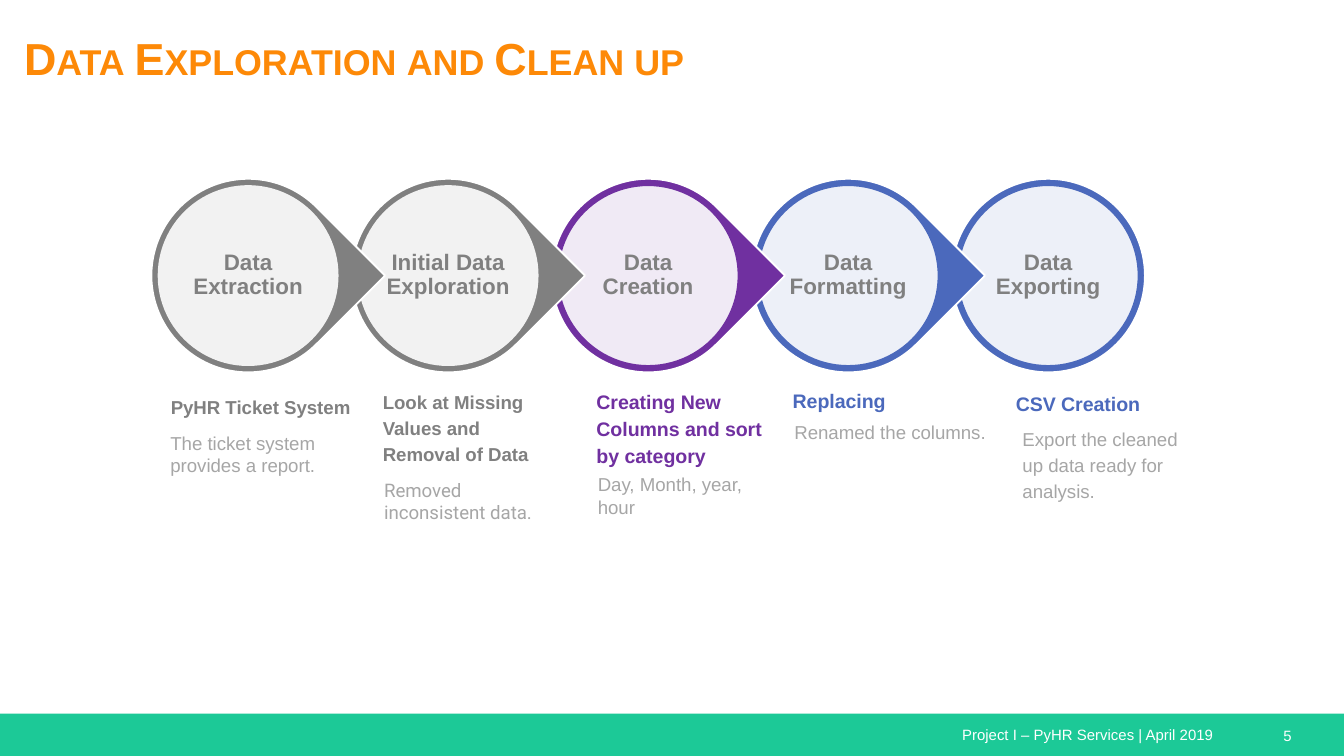
from lxml import etree
from pptx import Presentation
from pptx.dml.color import RGBColor
from pptx.enum.shapes import MSO_SHAPE
from pptx.enum.text import MSO_ANCHOR, PP_ALIGN
from pptx.oxml.ns import qn
from pptx.util import Pt

RECT, OVAL, TEAR = MSO_SHAPE.RECTANGLE, MSO_SHAPE.OVAL, MSO_SHAPE.TEAR
TOP, MID, LOW = MSO_ANCHOR.TOP, MSO_ANCHOR.MIDDLE, MSO_ANCHOR.BOTTOM
LEFT, MIDDLE = PP_ALIGN.LEFT, PP_ALIGN.CENTER

COLORS = {
    "white": "FFFFFF", "green": "1CC997", "orange": "FD8907", "gray": "808080",
    "pale": "A6A6A6", "purple": "7030A0", "blue": "4B69BC",
}

TITLE = "Data Exploration and Clean up"
FOOTER = "Project I – PyHR Services | April 2019"
PAGE = "5"

STEPS = [
    ("Data Extraction", "gray", False),
    ("Initial Data Exploration", "gray", False),
    ("Data Creation", "purple", True),
    ("Data Formatting", "blue", True),
    ("Data Exporting", "blue", True),
]

HEADS = [
    ("PyHR Ticket System", (84.4, 203.8, 118, 27.4), "gray", 10),
    ("Look at Missing Values and Removal of Data",
     (198, 213.8, 105.1, 42.5), "gray", 10),
    ("Creating New Columns and sort by category",
     (312.5, 215.3, 105.1, 42.5), "purple", 10.5),
    ("Replacing", (417.6, 201.6, 105.1, 26.6), "blue", 10.5),
    ("CSV Creation", (537.1, 205.9, 105.1, 23.8), "blue", 10.5),
]

NOTES = [
    ("The ticket system provides a report.",
     (84.2, 223.9, 105.1, 42.5), "Arial", 1),
    ("Removed inconsistent data.", (198.7, 249.1, 108, 42.5), "Roboto", 1),
    ("Day, Month, year, hour", (313.2, 246.2, 100, 26), "Arial", 1),
    ("Renamed the columns.", (418.5, 219.6, 122.4, 23.8), "Arial", 1),
    ("Export the cleaned up data ready for analysis.",
     (540.7, 220.3, 110.2, 36), "Arial", 1.15),
]

START, ROW, STEP, SIZE = 81.1, 95.8, 107.15, 103.7
RING, INSET = 3.4, 17.3

deck = Presentation()
deck.slide_width, deck.slide_height = Pt(720), Pt(405)
slide = deck.slides.add_slide(deck.slide_layouts[6])


def tint(name):
    return RGBColor.from_string(COLORS[name])


def write(text, box, color="gray", size=10, font="Arial", bold=False,
          align=LEFT, anchor=TOP, space=1, pad=(7.2, 7.2), caps=False):
    frame = slide.shapes.add_textbox(*map(Pt, box)).text_frame
    frame.word_wrap = True
    frame.vertical_anchor = anchor
    frame.margin_left = frame.margin_right = Pt(pad[0])
    frame.margin_top = frame.margin_bottom = Pt(pad[1])
    para = frame.paragraphs[0]
    para.alignment = align
    if space != 1:
        para.line_spacing = space
    run = para.add_run()
    run.text = text
    run.font.name, run.font.size, run.font.bold = font, Pt(size), bold
    run.font.color.rgb = tint(color)
    if caps:
        run.font._element.set("cap", "small")


def draw(kind, box, fill, line=None, alpha=None):
    shape = slide.shapes.add_shape(kind, *map(Pt, box))
    shape.shadow.inherit = False
    shape.fill.solid()
    shape.fill.fore_color.rgb = tint(fill)
    if line:
        shape.line.color.rgb = tint(line)
        shape.line.width = Pt(1)
    else:
        shape.line.fill.background()
    if alpha:
        color = shape._element.spPr.find(qn("a:solidFill"))[0]
        etree.SubElement(color, qn("a:alpha")).set("val", str(alpha * 1000))
    return shape


def inner(left, gap):
    return left + gap, ROW + gap, SIZE - 2 * gap, SIZE - 2 * gap


draw(RECT, (0, 382.3, 720, 22.7), "green")
write(FOOTER, (508.3, 385.2, 167, 17.3), "white", 8, pad=(7.2, 3.6))
write(PAGE, (680.4, 385.9, 39.6, 17.3), "white", 8, pad=(7.2, 3.6))

last = len(STEPS) - 1
for i in range(last, -1, -1):
    label, color, edge = STEPS[i]
    left = START + i * STEP
    drop = draw(OVAL if i == last else TEAR, inner(left, 0), color, "white")
    drop.rotation = 0 if i == last else 45
    draw(OVAL, inner(left, RING), "white", color if edge else None, alpha=90)
    write(label, inner(left, INSET), size=12, bold=True, align=MIDDLE,
          anchor=MID, space=0.9, pad=(1.4, 1.4))

write(TITLE, (5.8, 9.4, 383, 31.7), "orange", 24, bold=True, caps=True)
for text, box, color, size in HEADS:
    write(text, box, color, size, bold=True, anchor=LOW, space=1.15)
for text, box, font, space in NOTES:
    write(text, box, "pale", font=font, space=space)

deck.save("out.pptx")
